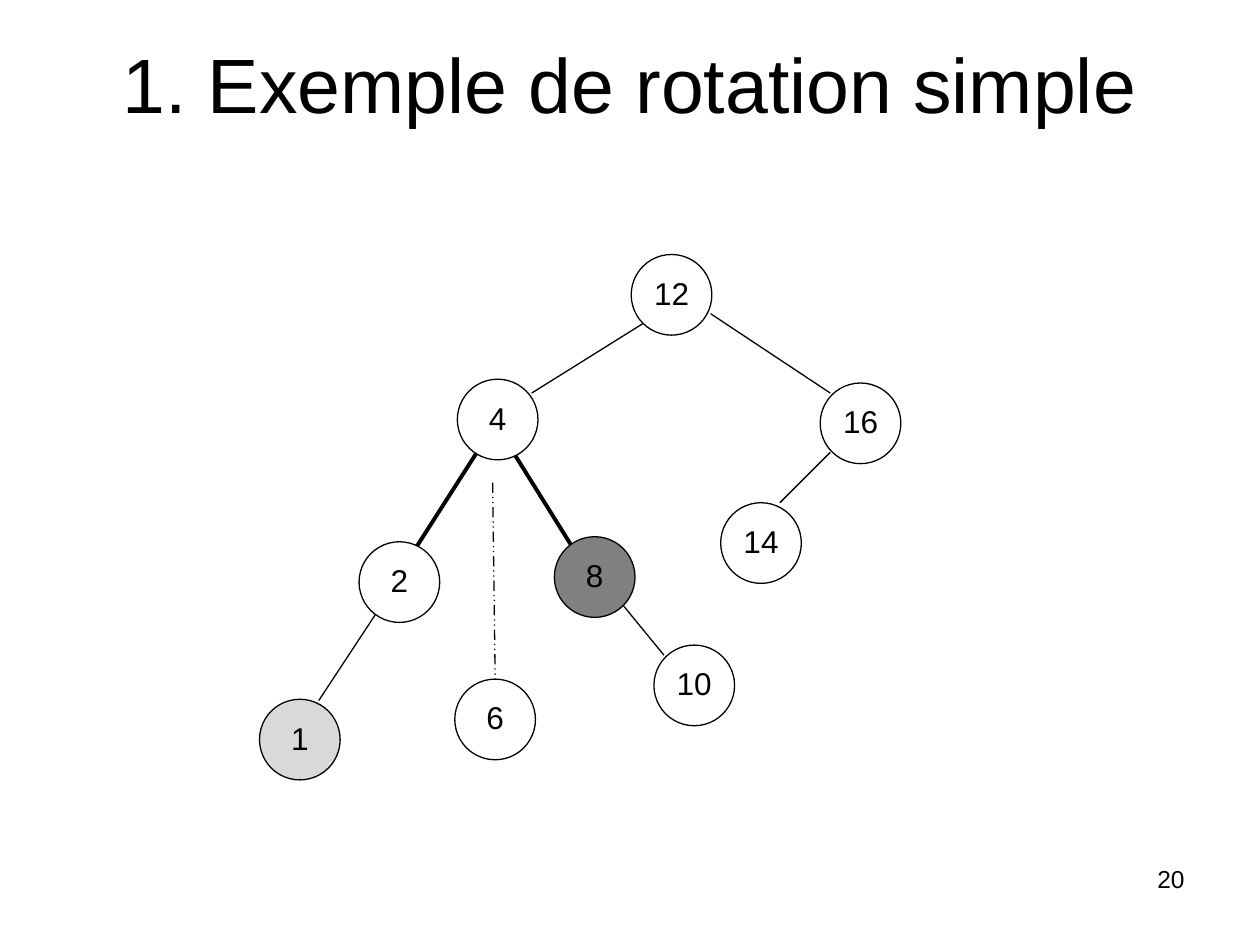
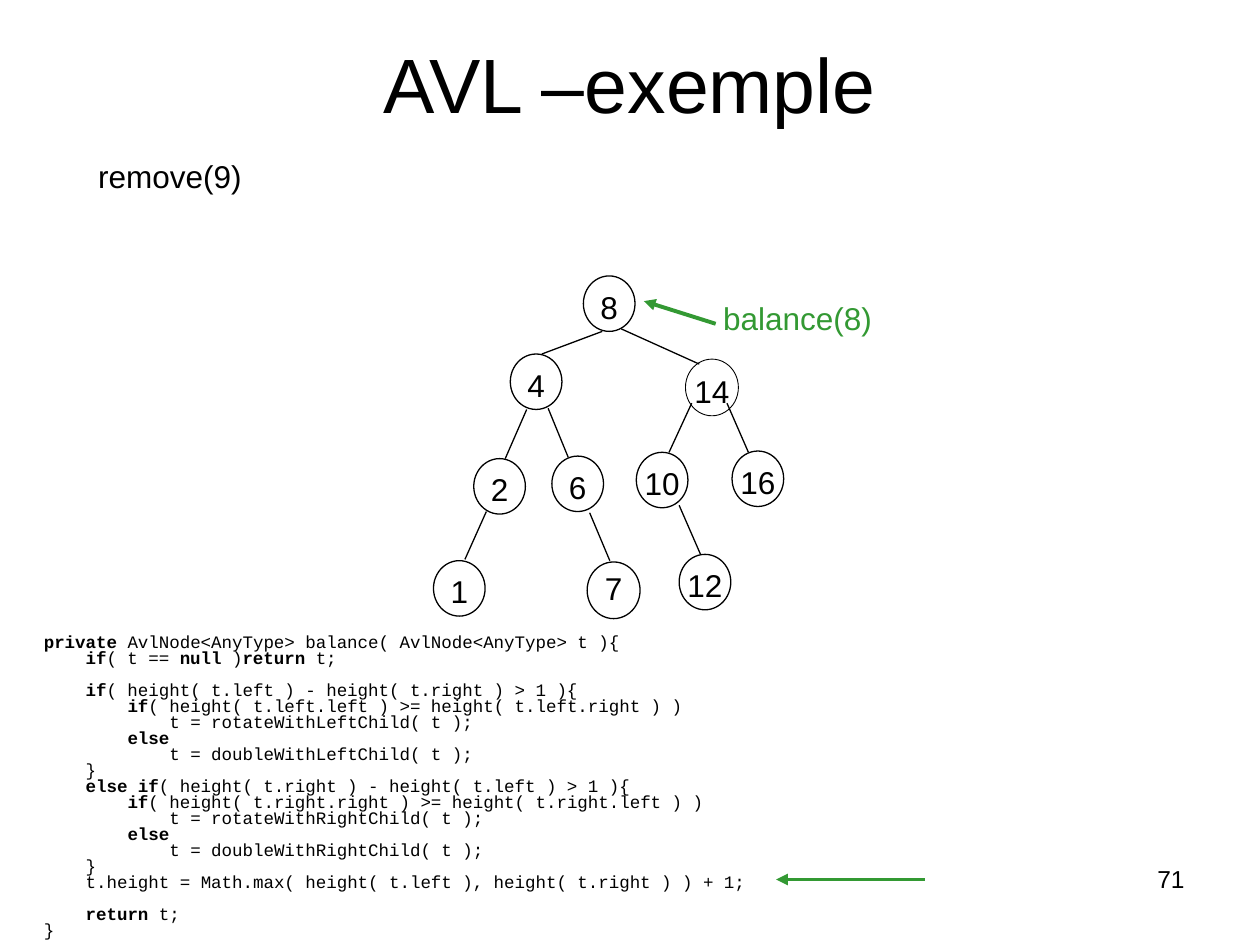
from dataclasses import dataclass

import pptx
import pptx.dml.color
import pptx.enum.dml
import pptx.enum.shapes
import pptx.enum.text
import pptx.oxml.ns
import pptx.util
from lxml import etree

PX = 9144
BLACK, WHITE, GREEN = "000000", "FFFFFF", "339933"
DARK_GREY, LIGHT_GREY = "808080", "D9D9D9"
BODY_FONT, CODE_FONT = "Arial", "Courier New"
LINE_SPACING, TIGHT_SPACING = 0.93, 0.76
ALIGN = pptx.enum.text.PP_ALIGN
ANCHOR = pptx.enum.text.MSO_ANCHOR


@dataclass
class Node:
    label: str
    left: int
    top: int
    fill: str | None = None
    width: int = 41
    height: int = 44
    line_width: float = 0.75
    label_drop: int = 4


@dataclass
class Edge:
    x1: int
    y1: int
    x2: int
    y2: int
    width: float = 0.75
    color: str = BLACK
    dashed: bool = False
    arrow: bool = False


def circle(label: str, left: int, top: int, fill: str | None = None) -> Node:
    return Node(label, left, top, fill, 64, 64, label_drop=0)


def arrow(x1: int, y1: int, x2: int, y2: int) -> Edge:
    return Edge(x1, y1, x2, y2, 2.25, GREEN, arrow=True)


ROTATION_EDGES = [
    Edge(398, 344, 461, 445, 2.25),
    Edge(383, 352, 328, 438, 2.25),
    Edge(305, 477, 253, 556),
    Edge(510, 257, 422, 312),
    Edge(564, 249, 659, 312),
    Edge(659, 359, 619, 399),
    Edge(495, 481, 527, 520),
    Edge(391, 383, 393, 539, dashed=True),
]
ROTATION_NODES = [
    circle("12", 501, 202),
    circle("8", 440, 426, DARK_GREY),
    circle("16", 651, 304),
    circle("14", 572, 399),
    circle("4", 363, 301, WHITE),
    circle("2", 285, 430, WHITE),
    circle("6", 361, 539),
    circle("1", 206, 555, LIGHT_GREY),
    circle("10", 519, 512),
]
AVL_NODES = [
    Node("14", 544, 285, WHITE, 42, 45, 0.5),
    Node("16", 581, 358),
    Node("4", 405, 281),
    Node("8", 463, 219),
    Node("2", 376, 364),
    Node("6", 438, 362),
    Node("12", 539, 440),
    Node("1", 344, 445),
    Node("10", 505, 359),
    Node("7", 466, 446, None, 42, 45, label_drop=0),
]
AVL_EDGES = [
    Edge(577, 320, 594, 359),
    Edge(531, 359, 549, 320),
    Edge(435, 324, 451, 363),
    Edge(539, 401, 556, 440),
    Edge(418, 325, 401, 364),
    Edge(478, 263, 430, 281),
    Edge(386, 406, 369, 444),
    Edge(493, 261, 555, 289),
    Edge(468, 407, 484, 445),
    arrow(568, 257, 511, 239),
    arrow(734, 698, 616, 698),
]
BOLD_MARK = "|"
BALANCE_CODE = """\
|private |AvlNode<AnyType> balance( AvlNode<AnyType> t ){
    |if|( t == |null |)|return |t;
    
    |if|( height( t.left ) - height( t.right ) > 1 ){
        |if|( height( t.left.left ) >= height( t.left.right ) )
            t = rotateWithLeftChild( t );
        |else|
            t = doubleWithLeftChild( t );
    }
    |else if|( height( t.right ) - height( t.left ) > 1 ){
        |if|( height( t.right.right ) >= height( t.right.left ) )
            t = rotateWithRightChild( t );
        |else|
            t = doubleWithRightChild( t );
    }
    t.height = Math.max( height( t.left ), height( t.right ) ) + 1;
    
    |return| t;
}"""


def px(*lengths: int) -> list[pptx.util.Emu]:
    return [pptx.util.Emu(n * PX) for n in lengths]


def rgb(color: str) -> pptx.dml.color.RGBColor:
    return pptx.dml.color.RGBColor.from_string(color)


def format_paragraph(p, size: int, color: str = BLACK, align=ALIGN.LEFT,
                     spacing: float = LINE_SPACING, font: str = BODY_FONT) -> None:
    p.alignment = align
    p.line_spacing = spacing
    p.font.name = font
    p.font.size = pptx.util.Pt(size)
    p.font.color.rgb = rgb(color)


def add_text(s, box: tuple[int, int, int, int], text: str, size: int,
             color: str = BLACK, align=ALIGN.LEFT,
             spacing: float = LINE_SPACING) -> None:
    tf = s.shapes.add_textbox(*px(*box)).text_frame
    tf.word_wrap = True
    tf.text = text
    format_paragraph(tf.paragraphs[0], size, color, align, spacing)


def add_code(s, box: tuple[int, int, int, int], code: str) -> None:
    tf = s.shapes.add_textbox(*px(*box)).text_frame
    tf.word_wrap = True
    for i, line in enumerate(code.split("\n")):
        p = tf.add_paragraph() if i else tf.paragraphs[0]
        format_paragraph(p, 10, spacing=TIGHT_SPACING, font=CODE_FONT)
        for j, part in enumerate(line.split(BOLD_MARK)):
            if part:
                r = p.add_run()
                r.text = part
                r.font.bold = j % 2 == 1


def add_node(s, node: Node) -> None:
    sp = s.shapes.add_shape(pptx.enum.shapes.MSO_SHAPE.OVAL,
                            *px(node.left, node.top, node.width, node.height))
    sp.shadow.inherit = False
    if node.fill:
        sp.fill.solid()
        sp.fill.fore_color.rgb = rgb(node.fill)
    else:
        sp.fill.background()
    sp.line.color.rgb = rgb(BLACK)
    sp.line.width = pptx.util.Pt(node.line_width)
    tf = sp.text_frame
    tf.word_wrap = False
    tf.vertical_anchor = ANCHOR.MIDDLE
    tf.margin_left = tf.margin_right = tf.margin_bottom = 0
    tf.margin_top = px(2 * node.label_drop)[0]
    tf.text = node.label
    format_paragraph(tf.paragraphs[0], 18, align=ALIGN.CENTER)


def add_edge(s, edge: Edge) -> None:
    cxn = s.shapes.add_connector(pptx.enum.shapes.MSO_CONNECTOR.STRAIGHT,
                                 *px(edge.x1, edge.y1, edge.x2, edge.y2))
    cxn.line.color.rgb = rgb(edge.color)
    cxn.line.width = pptx.util.Pt(edge.width)
    if edge.dashed:
        cxn.line.dash_style = pptx.enum.dml.MSO_LINE.DASH_DOT_DOT
    qn = pptx.oxml.ns.qn
    sp_pr = cxn._element.spPr
    if edge.arrow:
        etree.SubElement(sp_pr.find(qn("a:ln")), qn("a:tailEnd"), type="triangle")
    etree.SubElement(sp_pr, qn("a:effectLst"))


def add_slide(prs, title: str, left: int, width: int, number: int):
    s = prs.slides.add_slide(prs.slide_layouts[5])
    sp = s.shapes.title
    sp.left, sp.top, sp.width, sp.height = px(left, 30, width, 79)
    tf = sp.text_frame
    tf.text = title
    tf.word_wrap = True
    tf.auto_size = pptx.enum.text.MSO_AUTO_SIZE.NONE
    tf.vertical_anchor = ANCHOR.MIDDLE
    format_paragraph(tf.paragraphs[0], 44, align=ALIGN.CENTER)
    add_text(s, (717, 683, 233, 52), str(number), 14, align=ALIGN.RIGHT)
    return s


def rotation_slide(prs) -> None:
    s = add_slide(prs, "1. Exemple de rotation simple", 0, 1000, 20)
    for edge in ROTATION_EDGES:
        add_edge(s, edge)
    for node in ROTATION_NODES:
        add_node(s, node)


def avl_slide(prs) -> None:
    s = add_slide(prs, "AVL –exemple", 50, 900, 71)
    for node in AVL_NODES:
        add_node(s, node)
    for edge in AVL_EDGES:
        add_edge(s, edge)
    add_text(s, (68, 122, 135, 39), "remove(9)", 18)
    add_text(s, (564, 239, 192, 33), "balance(8)", 18, GREEN, spacing=TIGHT_SPACING)
    add_code(s, (25, 500, 930, 253), BALANCE_CODE)


def main() -> None:
    prs = pptx.Presentation()
    prs.slide_width, prs.slide_height = px(1000, 750)
    rotation_slide(prs)
    avl_slide(prs)
    prs.save("out.pptx")


if __name__ == "__main__":
    main()
